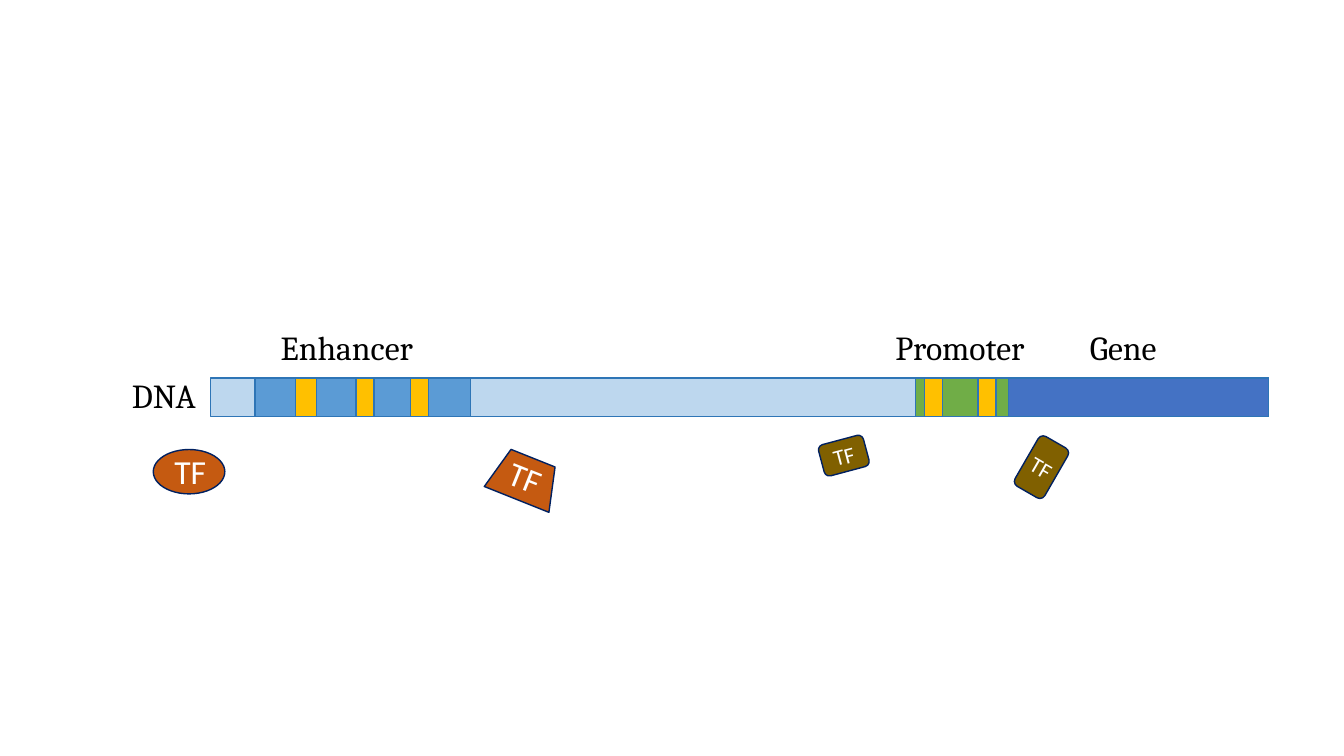
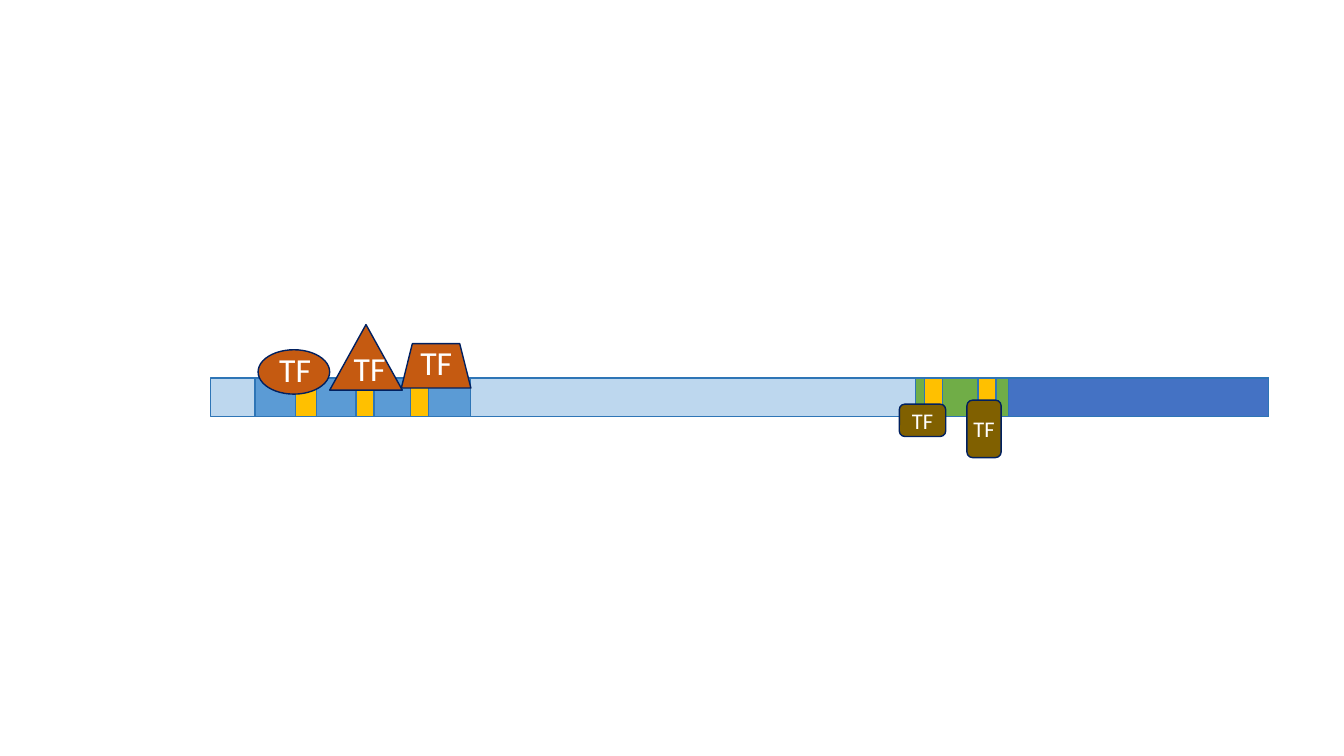
from pptx import Presentation
from pptx.dml.color import RGBColor
from pptx.enum.shapes import MSO_SHAPE
from pptx.enum.text import MSO_ANCHOR, PP_ALIGN
from pptx.util import Inches, Pt

HUES = {
    "dna": "BDD7EE", "enhancer": "5B9BD5", "site": "FFC000",
    "gene": "4472C4", "promoter": "70AD47", "edge": "2E75B6",
    "orange": "C55A11", "olive": "806000", "navy": "002060",
    "black": "000000", "white": "FFFFFF",
}
TOP, HIGH = 3.75, 0.38
BANDS = [
    (2.09, 10.49, "dna"), (2.53, 2.14, "enhancer"),
    (2.93, 0.21, "site"), (3.53, 0.18, "site"), (4.07, 0.18, "site"),
    (9.08, 3.5, "gene"), (9.08, 0.92, "promoter"),
    (9.17, 0.18, "site"), (9.7, 0.18, "site"),
]
LABELS = [
    ("Enhancer", 2.64, 3.26, 1.6, 0.36), ("Promoter", 8.72, 3.26, 1.6, 0.36),
    ("Gene", 10.34, 3.23, 1.6, 0.43), ("DNA", 0.94, 3.68, 1.37, 0.48),
]
OVAL, TRI = MSO_SHAPE.OVAL, MSO_SHAPE.ISOSCELES_TRIANGLE
TRAP, ROUND = MSO_SHAPE.TRAPEZOID, MSO_SHAPE.ROUNDED_RECTANGLE
WIDE, TALL = (0.46, 0.32), (0.34, 0.57)

SCENES = [
    {
        "labels": LABELS,
        "olive": [(10.16, 4.35, TALL, 30), (8.14, 4.36, WIDE, 345)],
        "orange": [
            (OVAL, (1.52, 4.46, 0.71, 0.44), (1.63, 4.42, 0.79, 0.5), 0),
            (TRAP, (4.86, 4.53, 0.69, 0.44), (4.95, 4.51, 0.65, 0.5), 21.8),
        ],
    },
    {
        "labels": [],
        "olive": [(8.92, 4.01, WIDE, 0), (9.59, 3.97, TALL, 0)],
        "orange": [
            (TRI, (3.27, 3.22, 0.72, 0.65), (3.41, 3.4, 0.68, 0.5), 0),
            (TRAP, (3.98, 3.41, 0.69, 0.44), (4.07, 3.34, 0.65, 0.5), 0),
            (OVAL, (2.56, 3.47, 0.71, 0.44), (2.67, 3.41, 0.79, 0.5), 0),
        ],
    },
]


def draw(shapes, kind, at, fill, edge, turn=0):
    shape = shapes.add_shape(kind, *map(Inches, at))
    shape.shadow.inherit = False
    shape.fill.solid()
    shape.fill.fore_color.rgb = RGBColor.from_string(HUES[fill])
    shape.line.color.rgb = RGBColor.from_string(HUES[edge])
    shape.line.width = Pt(1)
    shape.rotation = turn
    return shape


def write(shape, words, size, face, hue, align, anchor):
    frame = shape.text_frame
    frame.word_wrap = True
    frame.vertical_anchor = anchor
    para = frame.paragraphs[0]
    para.alignment = align
    run = para.add_run()
    run.text = words
    run.font.size = Pt(size)
    run.font.name = face
    run.font.color.rgb = RGBColor.from_string(HUES[hue])
    return frame


deck = Presentation()
deck.slide_width, deck.slide_height = Inches(13.33), Inches(7.5)

for scene in SCENES:
    shapes = deck.slides.add_slide(deck.slide_layouts[6]).shapes

    for left, width, fill in BANDS:
        draw(shapes, MSO_SHAPE.RECTANGLE, (left, TOP, width, HIGH), fill, "edge")

    for words, *at in scene["labels"]:
        label = shapes.add_textbox(*map(Inches, at))
        write(label, words, 24, "Cambria", "black", PP_ALIGN.CENTER, MSO_ANCHOR.MIDDLE)

    for left, top, size, turn in scene["olive"]:
        factor = draw(shapes, ROUND, (left, top, *size), "olive", "navy", turn)
        frame = write(factor, "TF", 16, "Calibri", "white", PP_ALIGN.CENTER, MSO_ANCHOR.MIDDLE)
        if size == TALL:
            frame.margin_left = frame.margin_right = 0
            frame.margin_top = frame.margin_bottom = 0

    for kind, at, spot, turn in scene["orange"]:
        group = shapes.add_group_shape().shapes
        draw(group, kind, at, "orange", "navy", turn)
        label = group.add_textbox(*map(Inches, spot))
        label.rotation = turn
        write(label, "TF", 24, "Calibri", "white", PP_ALIGN.LEFT, MSO_ANCHOR.TOP)

deck.save("out.pptx")
